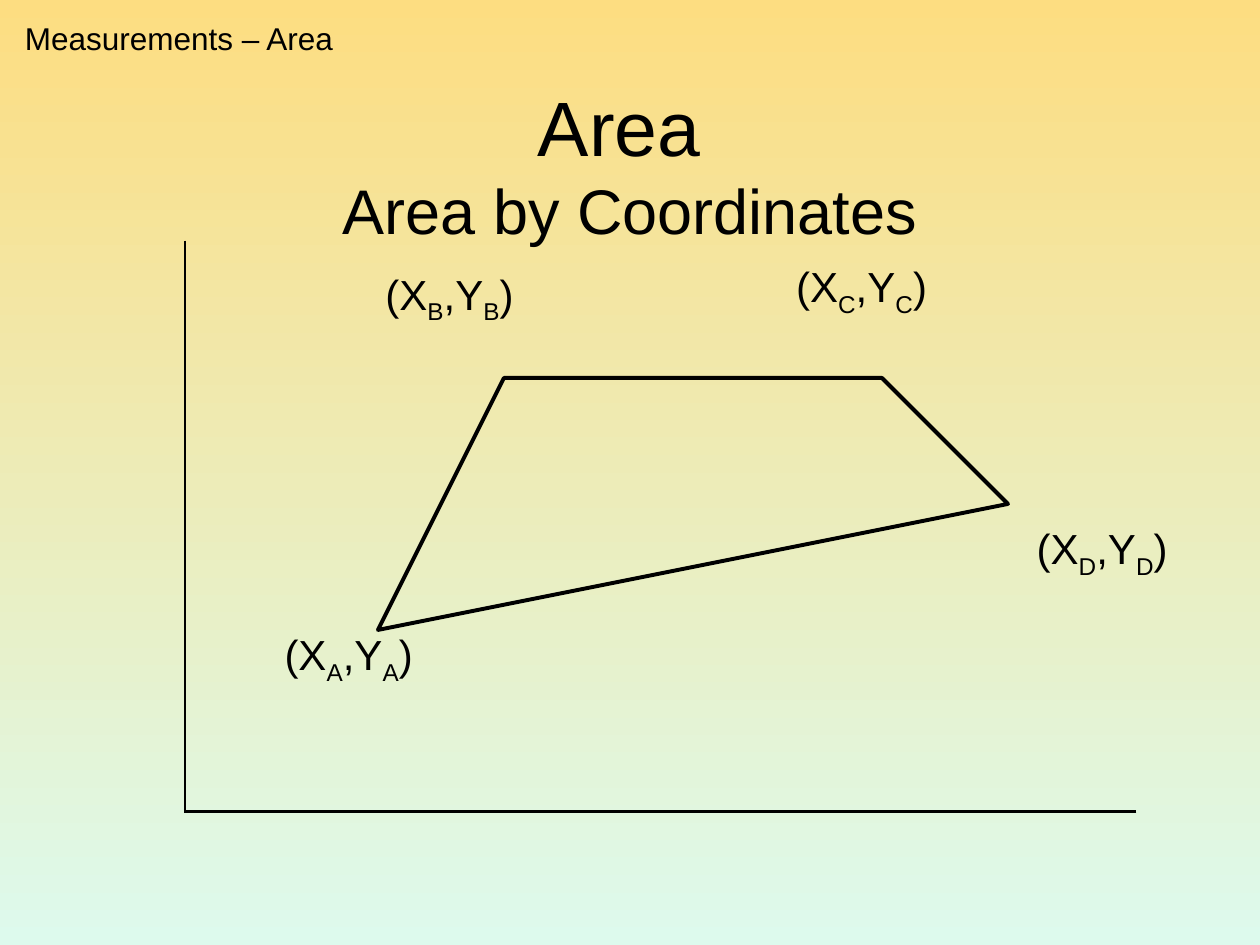
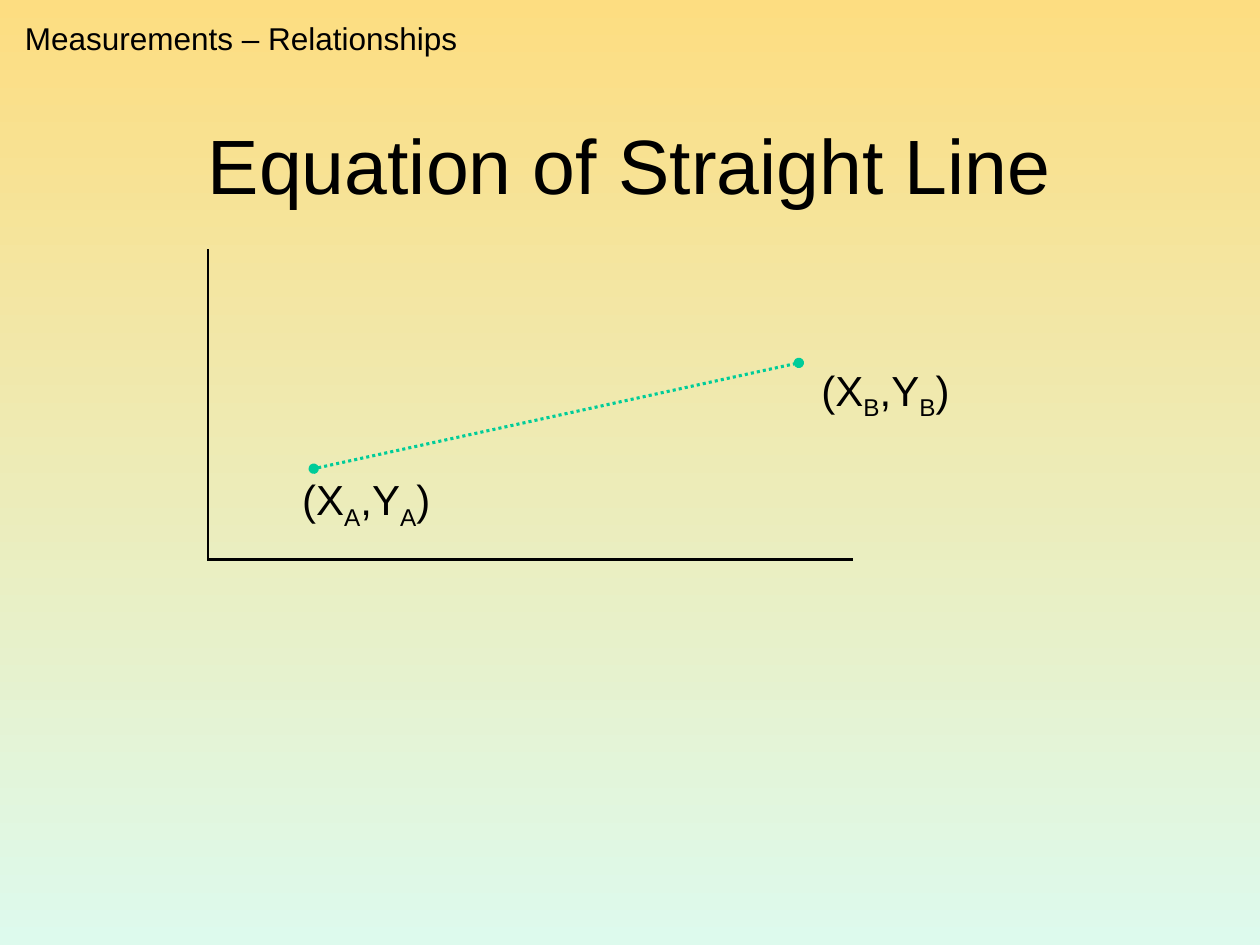
from pptx import Presentation
from pptx import util as u
from pptx.dml.color import RGBColor
from pptx.enum import dml, shapes, text
from pptx.oxml.ns import qn
from lxml import etree

COLORS = {"ink": "000000", "accent": "00CC99", "sky": "FDDD81", "ground": "DDFAED"}
FONT = "Arial"


def rgb(name):
    return RGBColor.from_string(COLORS[name])


def add_slide(deck):
    slide = deck.slides.add_slide(deck.slide_layouts[6])
    fill = slide.background.fill
    fill.gradient()
    fill.gradient_angle = 270
    for stop, name, position in zip(fill.gradient_stops, ("sky", "ground"), (0, 1)):
        stop.color.rgb = rgb(name)
        stop.position = position
    return slide


def add_box(slide, left, top, width, height, wrap=False):
    box = slide.shapes.add_textbox(*map(u.Inches, (left, top, width, height)))
    box.text_frame.word_wrap = wrap
    return box.text_frame


def add_span(para, words, size, subscript=False):
    span = para.add_run()
    span.text = words
    span.font.name = FONT
    span.font.size = u.Pt(size)
    span.font.color.rgb = rgb("ink")
    if subscript:
        span.font._element.set("baseline", "-25000")


def add_title(slide, title, subtitle=None):
    frame = add_box(slide, 0.75, 0.67, 8.5, 1.25, wrap=True)
    frame.vertical_anchor = text.MSO_ANCHOR.MIDDLE
    para = frame.paragraphs[0]
    para.alignment = text.PP_ALIGN.CENTER
    add_span(para, title, 44)
    if subtitle:
        para.add_line_break()
        add_span(para, subtitle, 36)


def add_section(slide, words, width):
    frame = add_box(slide, 0.1, 0.1, width, 0.4)
    add_span(frame.paragraphs[0], words, 18)


def add_point_label(slide, letter, left, top, width=1.22):
    """Write (X,Y) with the point's letter as subscript of both."""
    para = add_box(slide, left, top, width, 0.56).paragraphs[0]
    for words, subscript in (("(X", False), (letter, True), (",Y", False),
                             (letter, True), (")", False)):
        add_span(para, words, 24, subscript)


def add_line(slide, start, end, color="ink", weight=1.5):
    line = slide.shapes.add_connector(
        shapes.MSO_CONNECTOR.STRAIGHT, *map(u.Inches, (*start, *end)))
    line.line.color.rgb = rgb(color)
    line.line.width = u.Pt(weight)
    etree.SubElement(line._element.spPr, qn("a:effectLst"))
    return line


def add_axes(slide, left, top, right, bottom):
    add_line(slide, (left, top), (left, bottom + 0.01))
    add_line(slide, (right, bottom), (left, bottom))


def add_outline(slide, corners):
    builder = slide.shapes.build_freeform(*corners[0], scale=u.Inches(1))
    builder.add_line_segments(corners[1:], close=True)
    outline = builder.convert_to_shape()
    outline.shadow.inherit = False
    outline.fill.background()
    outline.line.color.rgb = rgb("ink")
    outline.line.width = u.Pt(2.25)


def add_dotted_segment(slide, start, end):
    segment = add_line(slide, start, end, "accent", 1.75)
    segment.line.dash_style = dml.MSO_LINE.ROUND_DOT
    stroke = segment._element.spPr.find(qn("a:ln"))
    for tip in ("a:headEnd", "a:tailEnd"):
        etree.SubElement(stroke, qn(tip), type="oval")


def build_area_slide(deck):
    slide = add_slide(deck)
    add_title(slide, "Area ", "Area by Coordinates")
    add_axes(slide, 1.47, 1.91, 9.02, 6.44)
    add_outline(slide, [(2.72, 4.93), (3.58, 2.6), (6.66, 2.51), (8.41, 4.11)])
    add_point_label(slide, "A", 2.16, 4.94)
    add_point_label(slide, "B", 2.96, 2.08)
    add_point_label(slide, "C", 6.22, 2.02, 1.24)
    add_point_label(slide, "D", 8.13, 4.1, 1.24)
    add_section(slide, "Measurements – Area", 2.66)


def build_line_slide(deck):
    slide = add_slide(deck)
    add_title(slide, "Equation of Straight Line")
    add_axes(slide, 1.65, 1.98, 6.77, 4.44)
    add_point_label(slide, "A", 2.3, 3.71)
    add_point_label(slide, "B", 6.42, 2.84)
    add_dotted_segment(slide, (2.49, 3.72), (6.34, 2.88))
    add_section(slide, "Measurements – Relationships", 3.63)


def main():
    deck = Presentation()
    deck.slide_width, deck.slide_height = u.Inches(10), u.Inches(7.5)
    build_area_slide(deck)
    build_line_slide(deck)
    deck.save("out.pptx")


if __name__ == "__main__":
    main()
